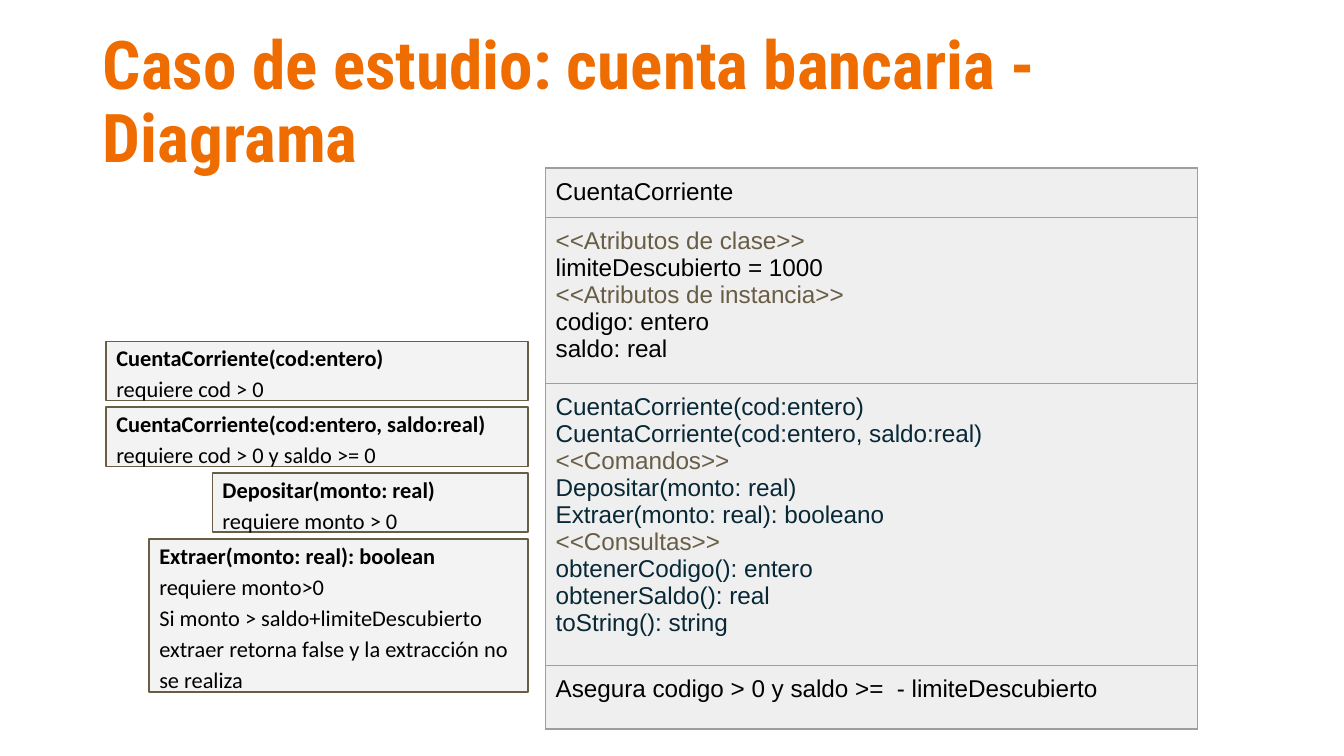
from dataclasses import dataclass

from lxml.etree import SubElement
from pptx import Presentation
from pptx.dml.color import RGBColor as RGB
from pptx.enum.shapes import MSO_SHAPE as SHAPE
from pptx.enum.text import MSO_ANCHOR as ANCHOR, PP_ALIGN as ALIGN
from pptx.oxml.ns import qn
from pptx.util import Inches, Pt


@dataclass(frozen=True)
class Theme:
    title: str = "EF6C00"
    text: str = "000000"
    stereotype: str = "695D46"
    method: str = "082836"
    class_fill: str = "EFEFEF"
    class_border: str = "9E9E9E"
    note_fill: str = "F3F3F3"
    title_font: str = "Roboto Condensed"
    class_font: str = "Arial"
    note_font: str = "Calibri"
    title_size: float = 36
    class_size: float = 13
    note_size: float = 12
    line_width: float = 0.75
    inset: float = 0.15 / 2


T = Theme()

CLASS_ROWS = [
    (0.34, T.text, ["CuentaCorriente"]),
    (1.12, T.text, [
        "<<Atributos de clase>>",
        "limiteDescubierto = 1000",
        "<<Atributos de instancia>>",
        "codigo: entero",
        "saldo: real",
    ]),
    (1.38, T.method, [
        "CuentaCorriente(cod:entero)",
        "CuentaCorriente(cod:entero, saldo:real)",
        "<<Comandos>>",
        "Depositar(monto: real)",
        "Extraer(monto: real): booleano",
        "<<Consultas>>",
        "obtenerCodigo(): entero",
        "obtenerSaldo(): real",
        "toString(): string",
    ]),
    (0.47, T.text, ["Asegura codigo > 0 y saldo >=  - limiteDescubierto"]),
]

NOTES = [
    (3.14, 0.44, ["CuentaCorriente(cod:entero)", "requiere cod > 0"]),
    (3.14, 0.44, ["CuentaCorriente(cod:entero, saldo:real)",
                  "requiere cod > 0 y saldo >= 0"]),
    (2.35, 0.44, ["Depositar(monto: real)", "requiere monto > 0"]),
    (2.82, 1.14, ["Extraer(monto: real): boolean", "requiere monto>0",
                  "Si monto > saldo+limiteDescubierto extraer retorna false "
                  "y la extracción no se realiza"]),
]


def set_insets(target, x, y):
    target.margin_left = target.margin_right = Inches(x)
    target.margin_top = target.margin_bottom = Inches(y)


def add_lines(tf, lines, font, size, spacing=1.0):
    for i, (text, color, bold) in enumerate(lines):
        p = tf.paragraphs[0] if i == 0 else tf.add_paragraph()
        p.alignment = ALIGN.LEFT
        p.line_spacing = spacing
        r = p.add_run()
        r.text = text
        r.font.name = font
        r.font.size = Pt(size)
        r.font.bold = bold
        r.font.color.rgb = RGB.from_string(color)


def set_borders(cell, color, width):
    tc_pr = cell._tc.get_or_add_tcPr()
    for i, side in enumerate(("lnL", "lnR", "lnT", "lnB")):
        ln = SubElement(tc_pr, qn(f"a:{side}"), w=str(Pt(width)))
        fill = SubElement(ln, qn("a:solidFill"))
        SubElement(fill, qn("a:srgbClr"), val=color)
        tc_pr.insert(i, ln)


def add_title(slide, text, left, top, width, height):
    box = slide.shapes.add_textbox(
        Inches(left), Inches(top), Inches(width), Inches(height))
    tf = box.text_frame
    tf.word_wrap = True
    tf.vertical_anchor = ANCHOR.MIDDLE
    set_insets(tf, T.inset, T.inset / 2)
    add_lines(tf, [(text, T.title, True)], T.title_font, T.title_size, 0.9)


def add_class_table(slide, rows, left, top, width, height):
    frame = slide.shapes.add_table(
        len(rows), 1, Inches(left), Inches(top),
        Inches(width), Inches(height))
    table = frame.table
    table.first_row = table.horz_banding = False
    for i, (row_height, color, lines) in enumerate(rows):
        table.rows[i].height = Inches(row_height)
        cell = table.cell(i, 0)
        set_insets(cell, T.inset, T.inset)
        cell.fill.solid()
        cell.fill.fore_color.rgb = RGB.from_string(T.class_fill)
        set_borders(cell, T.class_border, T.line_width)
        styled = [(s, T.stereotype if s.startswith("<<") else color, False)
                  for s in lines]
        add_lines(cell.text_frame, styled, T.class_font, T.class_size)
    frame.height = Inches(height)


def add_note(slide, lines, left, top, width, height):
    sp = slide.shapes.add_shape(
        SHAPE.RECTANGLE, Inches(left), Inches(top),
        Inches(width), Inches(height))
    sp.shadow.inherit = False
    sp.fill.solid()
    sp.fill.fore_color.rgb = RGB.from_string(T.note_fill)
    sp.line.color.rgb = RGB.from_string(T.stereotype)
    sp.line.width = Pt(T.line_width)
    tf = sp.text_frame
    tf.word_wrap = True
    tf.vertical_anchor = ANCHOR.MIDDLE
    set_insets(tf, T.inset, T.inset)
    styled = [(s, T.text, i == 0) for i, s in enumerate(lines)]
    add_lines(tf, styled, T.note_font, T.note_size, 1.15)


def add_notes(slide, notes, right, top, gap):
    for width, height, lines in notes:
        add_note(slide, lines, right - width, top, width, height)
        top += height + gap


def main():
    prs = Presentation()
    prs.slide_width = Inches(10)
    prs.slide_height = prs.slide_width * 9 // 16
    s = prs.slides.add_slide(prs.slide_layouts[6])
    add_title(s, "Caso de estudio: cuenta bancaria - Diagrama",
              0.69, 0.23, 8.62, 1.09)
    add_class_table(s, CLASS_ROWS, 4.06, 1.25, 4.85, 4.17)
    add_notes(s, NOTES, right=3.93, top=2.54, gap=0.05)
    prs.save("out.pptx")


if __name__ == "__main__":
    main()
